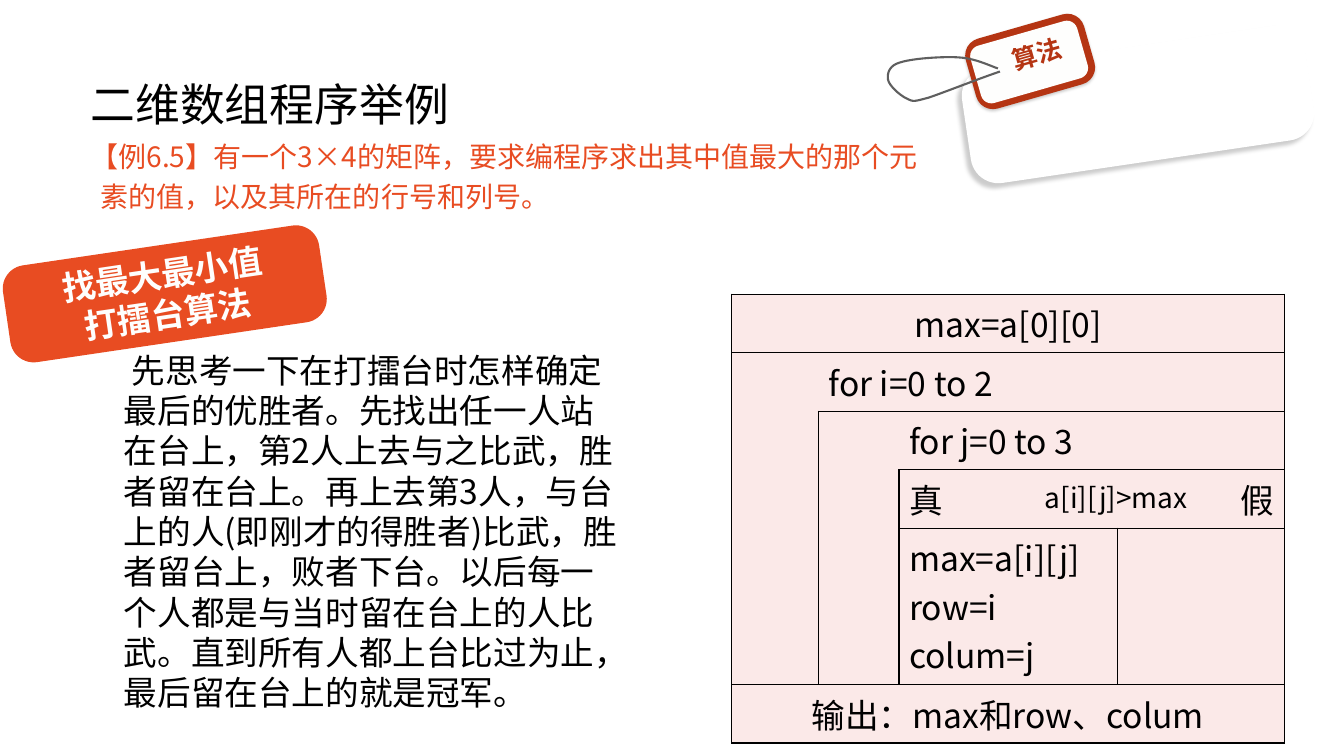
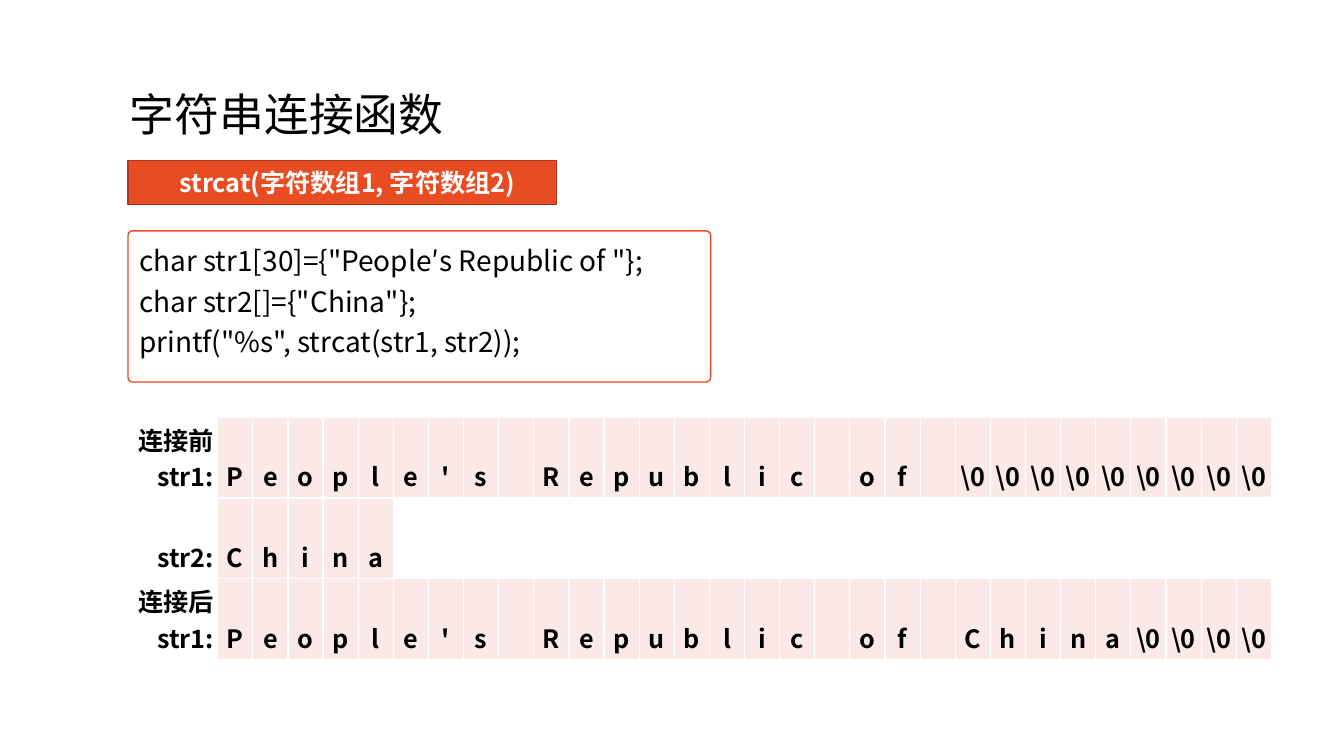
from lxml import etree
from pptx import Presentation
from pptx import util as u
from pptx.dml.color import RGBColor
from pptx.enum import shapes, text
from pptx.oxml.ns import qn

COLORS = {"ink": "000000", "accent": "E84C22", "edge": "AC3819", "tag": "B53513",
          "pink": "FBE9E8", "paper": "FFFFFF", "soft": "FEFEFD", "strap": "5F5F5F"}
FONT = "Noto Sans CJK SC"
CELL = u.Inches(1) // 3
COLUMNS, ROWS = 40, 22.5
TILT, TAG_TILT = 351.6, 344
ALIGN = {"left": text.PP_ALIGN.LEFT, "center": text.PP_ALIGN.CENTER,
         "right": text.PP_ALIGN.RIGHT, "justify": text.PP_ALIGN.JUSTIFY}
ANCHOR = {"top": text.MSO_ANCHOR.TOP, "middle": text.MSO_ANCHOR.MIDDLE,
          "bottom": text.MSO_ANCHOR.BOTTOM}


def grid(*cells):
    """Turn grid cells into slide lengths."""
    return [round(cell * CELL) for cell in cells]


def rgb(name):
    """Look up a named colour."""
    return RGBColor.from_string(COLORS[name])


def write(frame, words, size=24, color="ink", bold=False, align="left", line=1.2,
          margin=0, first=0):
    """Fill a text frame; line is in ems, margin and first indent in grid cells."""
    for index, words_of_line in enumerate(words.split("\n")):
        para = frame.paragraphs[0] if index == 0 else frame.add_paragraph()
        para.alignment = ALIGN[align]
        para.line_spacing = u.Pt(round(size * line, 2))
        if margin or first:
            left, indent = grid(margin, first)
            properties = para._p.get_or_add_pPr()
            properties.set("marL", str(left))
            properties.set("indent", str(indent))
        span = para.add_run()
        span.text = words_of_line
        span.font.size, span.font.bold, span.font.name = u.Pt(size), bold, FONT
        span.font.color.rgb = rgb(color)
        etree.SubElement(span._r.get_or_add_rPr(), qn("a:ea"), typeface=FONT)


def set_borders(cell, color, edges):
    """Draw the given edges of a table cell and clear the others."""
    properties = cell._tc.get_or_add_tcPr()
    for index, edge in enumerate("LRTB"):
        border = etree.Element(qn("a:ln" + edge), w=str(u.Pt(1)))
        if edge in edges:
            fill = etree.SubElement(border, qn("a:solidFill"))
            etree.SubElement(fill, qn("a:srgbClr"), val=COLORS[color])
        else:
            etree.SubElement(border, qn("a:noFill"))
        properties.insert(index, border)


def curve(start, turns, steps=12):
    """List points along joined cubic Bézier curves."""
    points = [start]
    for first, second, end in turns:
        for step in range(1, steps + 1):
            t = step / steps
            shares = ((1 - t) ** 3, 3 * t * (1 - t) ** 2, 3 * t * t * (1 - t), t ** 3)
            corners = (start, first, second, end)
            points.append(tuple(sum(s * c[axis] for s, c in zip(shares, corners))
                                for axis in (0, 1)))
        start = end
    return points


class Builder:
    """Hold the deck, its style and the current page."""

    def __init__(self):
        """Open an empty wide deck."""
        self.deck = Presentation()
        self.deck.slide_width, self.deck.slide_height = grid(COLUMNS, ROWS)
        self.page = None

    def new_page(self, title, place):
        """Add a blank page with its title."""
        self.page = self.deck.slides.add_slide(self.deck.slide_layouts[6])
        self.text(title, place, anchor="middle", size=32)

    def text(self, words, place, anchor="top", **style):
        """Add a wrapping text box."""
        frame = self.page.shapes.add_textbox(*grid(*place)).text_frame
        frame.word_wrap = True
        frame.vertical_anchor = ANCHOR[anchor]
        write(frame, words, **style)

    def shape(self, place, fill, kind="ROUNDED_RECTANGLE", corner=None, turn=0, outline=None,
              shadow=None, words="", anchor="middle", insets=(0.3, 0.15, 0.3, 0.15), **style):
        """Add a preset shape; shadow is blur, distance and angle."""
        box = self.page.shapes.add_shape(shapes.MSO_SHAPE[kind], *grid(*place))
        box.shadow.inherit = False
        box.rotation = turn
        if corner is not None:
            box.adjustments[0] = corner
        box.fill.solid()
        box.fill.fore_color.rgb = rgb(fill)
        if outline:
            box.line.color.rgb = rgb(outline)
            box.line.width = u.Pt(1)
        else:
            box.line.fill.background()
        if shadow:
            blur, distance, angle = shadow
            effect = etree.SubElement(
                box._element.spPr.find(qn("a:effectLst")), qn("a:outerShdw"),
                blurRad=str(u.Pt(blur)), dist=str(u.Pt(distance)), dir=str(angle * 60000),
                algn="ctr", rotWithShape="0")
            tint = etree.SubElement(effect, qn("a:srgbClr"), val=COLORS["ink"])
            etree.SubElement(tint, qn("a:alpha"), val="20000")
        if words:
            frame = box.text_frame
            frame.word_wrap = True
            frame.vertical_anchor = ANCHOR[anchor]
            (frame.margin_left, frame.margin_top,
             frame.margin_right, frame.margin_bottom) = grid(*insets)
            write(frame, words, **style)

    def strap(self, points, color, width):
        """Add an open curved line."""
        builder = self.page.shapes.build_freeform(*grid(*points[0]))
        builder.add_line_segments([grid(*point) for point in points[1:]], close=False)
        outline = builder.convert_to_shape()
        outline.shadow.inherit = False
        outline.fill.background()
        outline.line.color.rgb = rgb(color)
        outline.line.width = u.Pt(width)

    def table(self, corner, columns, rows):
        """Add a plain table with the given column widths and row heights."""
        place = grid(*corner, sum(columns), sum(rows))
        table = self.page.shapes.add_table(len(rows), len(columns), *place).table
        table.first_row = table.horz_banding = False
        for column, width in zip(table.columns, grid(*columns)):
            column.width = width
        for row, height in zip(table.rows, grid(*rows)):
            row.height = height
        return table

    def cell(self, table, row, column, words="", span=(1, 1), fill="pink", border="ink",
             edges="LRTB", anchor="top", inset=None, **style):
        """Format a table cell, merged over its span."""
        down, across = span
        origin = table.cell(row, column)
        if span != (1, 1):
            origin.merge(table.cell(row + down - 1, column + across - 1))
        for y in range(row, row + down):
            for x in range(column, column + across):
                part = table.cell(y, x)
                if fill:
                    part.fill.solid()
                    part.fill.fore_color.rgb = rgb(fill)
                else:
                    part.fill.background()
                set_borders(part, border, edges)
        origin.vertical_anchor = ANCHOR[anchor]
        if inset is not None:
            [margin] = grid(inset)
            origin.margin_left = origin.margin_right = margin
            origin.margin_top = origin.margin_bottom = margin
        if words:
            write(origin.text_frame, words, line=1.44, **style)


def matrix_page(show):
    """Build the page on finding the largest matrix element."""
    show.new_page("二维数组程序举例", (2.4, 0.9, 34.5, 4.35))
    show.text("【例6.5】有一个3×4的矩阵，要求编程序求出其中值最大的那个元素的值，以及其所在的行号和列号。",
              (2.4, 3.81, 25.68, 1.98), size=20, color="accent", line=1.44,
              margin=0.3, first=-0.3)

    chart = show.table((21.78, 8.76), (2.58, 2.4, 6.51, 4.95), [1.74] * 4 + [4.65, 1.74])
    show.cell(chart, 0, 0, "max=a[0][0]", span=(1, 4), align="center")
    for level, loop in enumerate(("for i=0 to 2", "for j=0 to 3")):
        row = level + 1
        show.cell(chart, row, level, span=(4 - level, 1), edges="LTB")
        show.cell(chart, row, level + 1, loop, span=(1, 3 - level), edges="TRB")
    show.cell(chart, 3, 2, "真", edges="LTB", anchor="bottom")
    show.cell(chart, 3, 3, "假", edges="TRB", anchor="bottom", align="right")
    show.cell(chart, 4, 2, "max=a[i][j]\nrow=i\ncolum=j")
    show.cell(chart, 4, 3)
    show.cell(chart, 5, 0, "输出：max和row、colum", span=(1, 4), align="center")
    show.text("a[i][j]>max", (29.79, 14.16, 6.87, 1.32), size=20, align="center")

    show.shape((28.71, 1.38, 10.32, 3.45), "paper", corner=0.24, turn=TILT,
               shadow=(3, 4, 135))
    show.shape((0.15, 7.29, 9.51, 2.91), "accent", corner=0.24, turn=TILT,
               words="找最大最小值\n打擂台算法", insets=(0, 0, 0, 0), color="soft", bold=True,
               align="center")
    show.shape((28.83, 0.75, 3.66, 2.16), "tag", corner=0.24, turn=TAG_TILT,
               shadow=(2, 1, 100))
    show.shape((28.98, 0.96, 3.3, 1.77), "soft", corner=0.18, turn=TAG_TILT, words="算法",
               insets=(0.6, 0, 0, 0.36), size=18, color="tag", bold=True, align="center")
    show.shape((29.25, 1.86, 0.54, 0.54), "paper", kind="OVAL")
    show.strap(curve((29.7, 2.04), (
        ((29.37, 1.92), (29.01, 1.74), (28.53, 1.71)),
        ((28.05, 1.68), (27.15, 1.74), (26.79, 1.86)),
        ((26.46, 1.95), (26.4, 2.19), (26.43, 2.37)),
        ((26.46, 2.55), (26.79, 2.85), (27, 2.94)),
        ((27.18, 3.03), (27.18, 3.03), (27.63, 2.91)),
        ((28.08, 2.76), (28.98, 2.4), (29.76, 2.13)))), "strap", 1.5)
    show.text("先思考一下在打擂台时怎样确定最后的优胜者。先找出任一人站在台上，第2人上去与之比武，"
              "胜者留在台上。再上去第3人，与台上的人(即刚才的得胜者)比武，胜者留台上，败者下台。"
              "以后每一个人都是与当时留在台上的人比武。直到所有人都上台比过为止，"
              "最后留在台上的就是冠军。", (3.39, 10.26, 15.36, 11.22), first=0.24)


def string_page(show):
    """Build the page on joining strings."""
    show.new_page("字符串连接函数", (3.57, 1.2, 19.44, 4.35))
    show.shape((3.81, 4.77, 12.75, 1.32), "accent", kind="RECTANGLE", outline="edge",
               words="strcat(字符数组1, 字符数组2)", insets=(0.6, 0.15, 0.3, 0.15),
               size=18, color="paper", bold=True, align="center")
    show.shape((3.81, 6.87, 17.34, 4.5), "paper", corner=0.03, outline="accent", anchor="top",
               words='char str1[30]={"People′s Republic of "};\n'
                     'char str2[]={"China"};\n'
                     'printf("%s", strcat(str1, str2));',
               size=20, align="justify", line=1.44)

    length, label_width, total_width = 30, 2.58, 33.96
    head, tail, end = "People's Republic of ", "China", "\\0"
    arrays = (("连接前\nstr1:", list(head) + [end] * (length - len(head))),
              ("str2:", list(tail)),
              ("连接后\nstr1:", list(head + tail) + [end] * (length - len(head + tail))))
    slot = (total_width - label_width) / length
    memory = show.table((3.9, 12.42), [label_width] + [slot] * length, [2.4] * len(arrays))
    style = {"border": "paper", "anchor": "bottom", "inset": 0.12, "size": 18, "bold": True}
    for row, (label, letters) in enumerate(arrays):
        show.cell(memory, row, 0, label, fill=None, align="right", **style)
        for column in range(length):
            used = column < len(letters)
            show.cell(memory, row, column + 1, letters[column].strip() if used else "",
                      fill="pink" if used else None, align="center", **style)


def main():
    """Build and save the deck."""
    show = Builder()
    matrix_page(show)
    string_page(show)
    show.deck.save("out.pptx")


if __name__ == "__main__":
    main()
